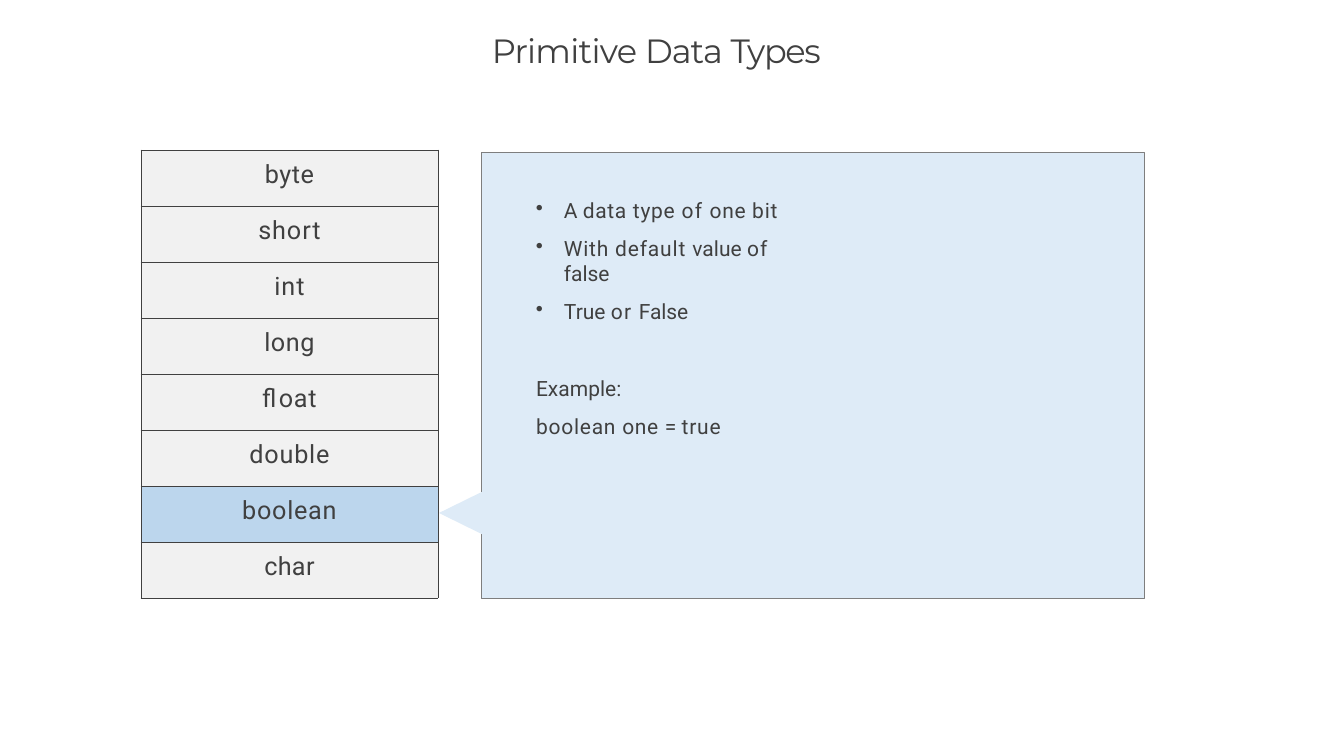
"""Build a slide on primitive data types with boolean explained."""
from dataclasses import dataclass

from lxml import etree
from pptx import Presentation, util as u
from pptx.dml.color import RGBColor
from pptx.enum import shapes, text
from pptx.oxml import ns

SCALE = 914400 / 75.6
COLORS = {"ink": "404040", "cell": "F1F1F1", "active": "BCD6ED",
          "panel": "DEEBF7", "edge": "7E7E7E"}


@dataclass(frozen=True)
class Span:
    text: str
    spacing: float = 0


@dataclass(frozen=True)
class Line:
    spans: tuple[Span, ...]
    before: int = 0
    bullet: bool = False


@dataclass(frozen=True)
class TypeRow:
    name: str
    spacing: float
    fill: str = "cell"


TITLE = (Span("Primitive ", -0.7), Span("Data ", -1.1), Span("Types", -1.4))
TYPES = (
    TypeRow("byte", 0.5), TypeRow("short", 0.9), TypeRow("int", 0.9),
    TypeRow("long", 0.5), TypeRow("float", 0.8), TypeRow("double", 0.8),
    TypeRow("boolean", 0.7, "active"), TypeRow("char", 0.3),
)
DETAILS = (
    Line((Span("A "), Span("data ", 0.6), Span("type ", 0.7), Span("of ", 1.1),
          Span("one ", 0.6), Span("bit", 0.8)), bullet=True),
    Line((Span("With ", 0.7), Span("default ", 0.8), Span("value "),
          Span("of ", 1.1), Span("false", -0.1)), 12, True),
    Line((Span("True "), Span("or ", 1.2), Span("False", -0.1)), 12, True),
    Line((Span("Example:"),), 49),
    Line((Span("boolean ", 0.7), Span("one ", 0.6), Span("= "),
          Span("true", 0.8)), 12),
)


def px(n: int) -> int:
    return round(n * SCALE)


def rgb(name: str) -> RGBColor:
    return RGBColor.from_string(COLORS[name])


def add_spans(p, spans: tuple[Span, ...], size: int, font: str = "Roboto") -> None:
    for span in spans:
        r = p.add_run()
        r.text = span.text
        r.font.size = u.Pt(size)
        r.font.name = font
        r.font.color.rgb = rgb("ink")
        r._r.get_or_add_rPr().set("spc", str(round(span.spacing * 100)))


def add_text_frame(s, x: int, y: int, w: int, h: int, top: int):
    tf = s.shapes.add_textbox(px(x), px(y), px(w), px(h)).text_frame
    tf.word_wrap = True
    tf.margin_left = tf.margin_right = tf.margin_bottom = 0
    tf.margin_top = px(top)
    return tf


def add_title(s) -> None:
    tf = add_text_frame(s, 492, 29, 362, 42, 1)
    add_spans(tf.paragraphs[0], TITLE, 32, "Montserrat")


def add_panel(s) -> None:
    sp = s.shapes.add_shape(shapes.MSO_SHAPE.RECTANGLE,
                            px(481), px(153), px(664), px(446))
    sp.line.color.rgb = rgb("edge")
    sp.line.width = u.Pt(0.96)
    builder = s.shapes.build_freeform(px(502), px(482))
    builder.add_line_segments([(px(439), px(513)), (px(502), px(544))])
    pointer = builder.convert_to_shape()
    pointer.line.fill.background()
    for shape in (sp, pointer):
        shape.shadow.inherit = False
        shape.fill.solid()
        shape.fill.fore_color.rgb = rgb("panel")


def add_details(s) -> None:
    tf = add_text_frame(s, 535, 184, 285, 229, 14)
    for i, line in enumerate(DETAILS):
        p = tf.add_paragraph() if i else tf.paragraphs[0]
        pPr = p._p.get_or_add_pPr()
        pPr.set("marL", str(px(29 if line.bullet else 1)))
        if line.bullet:
            pPr.set("indent", str(px(-28)))
            etree.SubElement(pPr, ns.qn("a:buChar"), char="•")
        if line.before:
            p.space_before = u.Pt(line.before)
        add_spans(p, line.spans, 20)


def add_borders(cell) -> None:
    tcPr = cell._tc.get_or_add_tcPr()
    for side in ("lnL", "lnR", "lnT", "lnB"):
        ln = etree.SubElement(tcPr, ns.qn(f"a:{side}"), w=str(u.Pt(0.75)))
        fill = etree.SubElement(ln, ns.qn("a:solidFill"))
        etree.SubElement(fill, ns.qn("a:srgbClr"), val=COLORS["ink"])


def add_type_table(s) -> None:
    table = s.shapes.add_table(len(TYPES), 1, px(141), px(150),
                               px(297), px(56 * len(TYPES))).table
    table.first_row = table.horz_banding = False
    for i, row in enumerate(TYPES):
        cell = table.cell(i, 0)
        cell.margin_left = cell.margin_right = cell.margin_bottom = 0
        cell.margin_top = px(10)
        add_borders(cell)
        cell.fill.solid()
        cell.fill.fore_color.rgb = rgb(row.fill)
        p = cell.text_frame.paragraphs[0]
        p.alignment = text.PP_ALIGN.CENTER
        add_spans(p, (Span(row.name, row.spacing),), 24)


def main() -> None:
    prs = Presentation()
    prs.slide_width, prs.slide_height = px(1344), px(756)
    s = prs.slides.add_slide(prs.slide_layouts[6])
    add_panel(s)
    add_details(s)
    add_type_table(s)
    add_title(s)
    prs.save("out.pptx")


if __name__ == "__main__":
    main()
